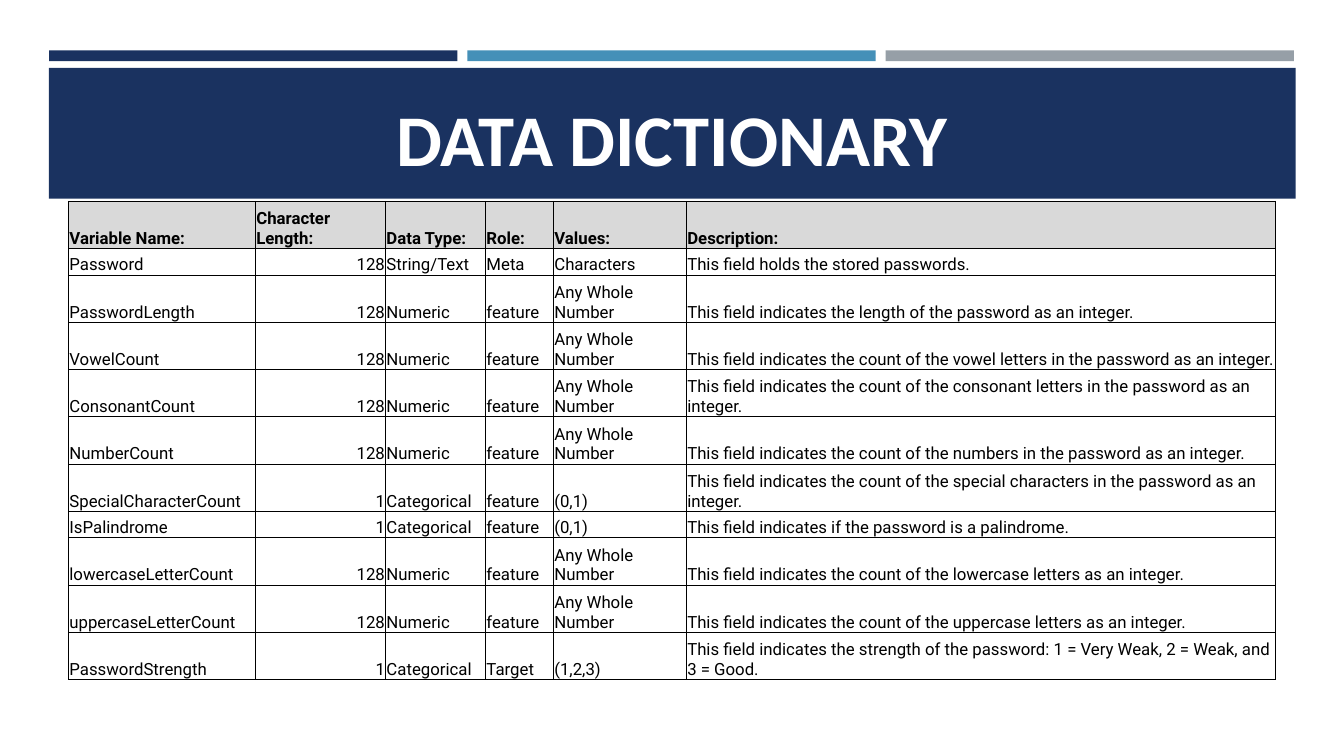
from lxml.etree import SubElement
from pptx import Presentation
from pptx.dml.color import RGBColor
from pptx.enum.shapes import MSO_SHAPE
from pptx.enum.text import MSO_ANCHOR, PP_ALIGN
from pptx.oxml.ns import qn
from pptx.util import Cm, Pt

NAVY = RGBColor(0x1A, 0x32, 0x60)
BLUE = RGBColor(0x45, 0x90, 0xB8)
GRAY = RGBColor(0x96, 0x9F, 0xA7)
HEADER_GRAY = RGBColor(0xD9, 0xD9, 0xD9)
BLACK = RGBColor(0, 0, 0)
WHITE = RGBColor(0xFF, 0xFF, 0xFF)

COUNT = "This field indicates the count of the "
WHOLE = "Any Whole Number"
FIELDS = [
    ("Variable Name:", "Character Length:", "Data Type:", "Role:", "Values:", "Description:"),
    ("Password", "128", "String/Text", "Meta", "Characters",
     "This field holds the stored passwords."),
    ("PasswordLength", "128", "Numeric", "feature", WHOLE,
     "This field indicates the length of the password as an integer."),
    ("VowelCount", "128", "Numeric", "feature", WHOLE,
     COUNT + "vowel letters in the password as an integer."),
    ("ConsonantCount", "128", "Numeric", "feature", WHOLE,
     COUNT + "consonant letters in the password as an integer."),
    ("NumberCount", "128", "Numeric", "feature", WHOLE,
     COUNT + "numbers in the password as an integer."),
    ("SpecialCharacterCount", "1", "Categorical", "feature", "(0,1)",
     COUNT + "special characters in the password as an integer."),
    ("IsPalindrome", "1", "Categorical", "feature", "(0,1)",
     "This field indicates if the password is a palindrome."),
    ("lowercaseLetterCount", "128", "Numeric", "feature", WHOLE,
     COUNT + "lowercase letters as an integer."),
    ("uppercaseLetterCount", "128", "Numeric", "feature", WHOLE,
     COUNT + "uppercase letters as an integer."),
    ("PasswordStrength", "1", "Categorical", "Target", "(1,2,3)",
     "This field indicates the strength of the password: "
     "1 = Very Weak, 2 = Weak, and 3 = Good."),
]
COLUMN_WIDTHS = [4.71, 3.28, 2.52, 1.71, 3.35, 14.84]
SINGLE_LINE_ROWS = ("Password", "IsPalindrome")


def add_block(left, top, width, height, color):
    block = slide.shapes.add_shape(
        MSO_SHAPE.RECTANGLE, Cm(left), Cm(top), Cm(width), Cm(height))
    block.shadow.inherit = False
    block.fill.solid()
    block.fill.fore_color.rgb = color
    block.line.fill.background()


def add_borders(cell):
    properties = cell._tc.get_or_add_tcPr()
    for side in ("a:lnL", "a:lnR", "a:lnT", "a:lnB"):
        border = SubElement(properties, qn(side), w=str(Pt(0.5)))
        fill = SubElement(border, qn("a:solidFill"))
        SubElement(fill, qn("a:srgbClr"), val=str(BLACK))


presentation = Presentation()
presentation.slide_width = Cm(33.87)
presentation.slide_height = Cm(19.05)
slide = presentation.slides.add_slide(presentation.slide_layouts[6])

# Three accent bars above the title band
for i, color in enumerate((NAVY, BLUE, GRAY)):
    add_block(1.24 + i * 10.54, 1.27, 10.29, 0.27, color)
add_block(1.23, 1.71, 31.42, 3.3, NAVY)

# Title
title = slide.shapes.add_textbox(Cm(2.34), Cm(1.55), Cm(29.2), Cm(3.15)).text_frame
title.word_wrap = True
title.vertical_anchor = MSO_ANCHOR.BOTTOM
heading = title.paragraphs[0]
heading.text = "DATA DICTIONARY"
heading.alignment = PP_ALIGN.CENTER
heading.font.name = "Calibri"
heading.font.size = Pt(52)
heading.font.bold = True
heading.font.color.rgb = WHITE

# Table of fields
dictionary = slide.shapes.add_table(
    len(FIELDS), len(COLUMN_WIDTHS), Cm(1.73), Cm(5.07), Cm(30.41), Cm(12.05)).table
dictionary.first_row = True
dictionary.horz_banding = False
for column, width in zip(dictionary.columns, COLUMN_WIDTHS):
    column.width = Cm(width)

for r, field in enumerate(FIELDS):
    dictionary.rows[r].height = Cm(0.67 if field[0] in SINGLE_LINE_ROWS else 1.19)
    for c, entry in enumerate(field):
        cell = dictionary.cell(r, c)
        cell.margin_left = cell.margin_right = cell.margin_top = Cm(0.02)
        cell.margin_bottom = Cm(0)
        cell.vertical_anchor = MSO_ANCHOR.BOTTOM
        add_borders(cell)
        if r == 0:
            cell.fill.solid()
            cell.fill.fore_color.rgb = HEADER_GRAY
        else:
            cell.fill.background()
        paragraph = cell.text_frame.paragraphs[0]
        paragraph.text = entry
        paragraph.alignment = PP_ALIGN.RIGHT if r > 0 and c == 1 else PP_ALIGN.LEFT
        paragraph.font.name = "Roboto"
        paragraph.font.size = Pt(12)
        paragraph.font.bold = r == 0
        paragraph.font.color.rgb = BLACK

presentation.save("out.pptx")
